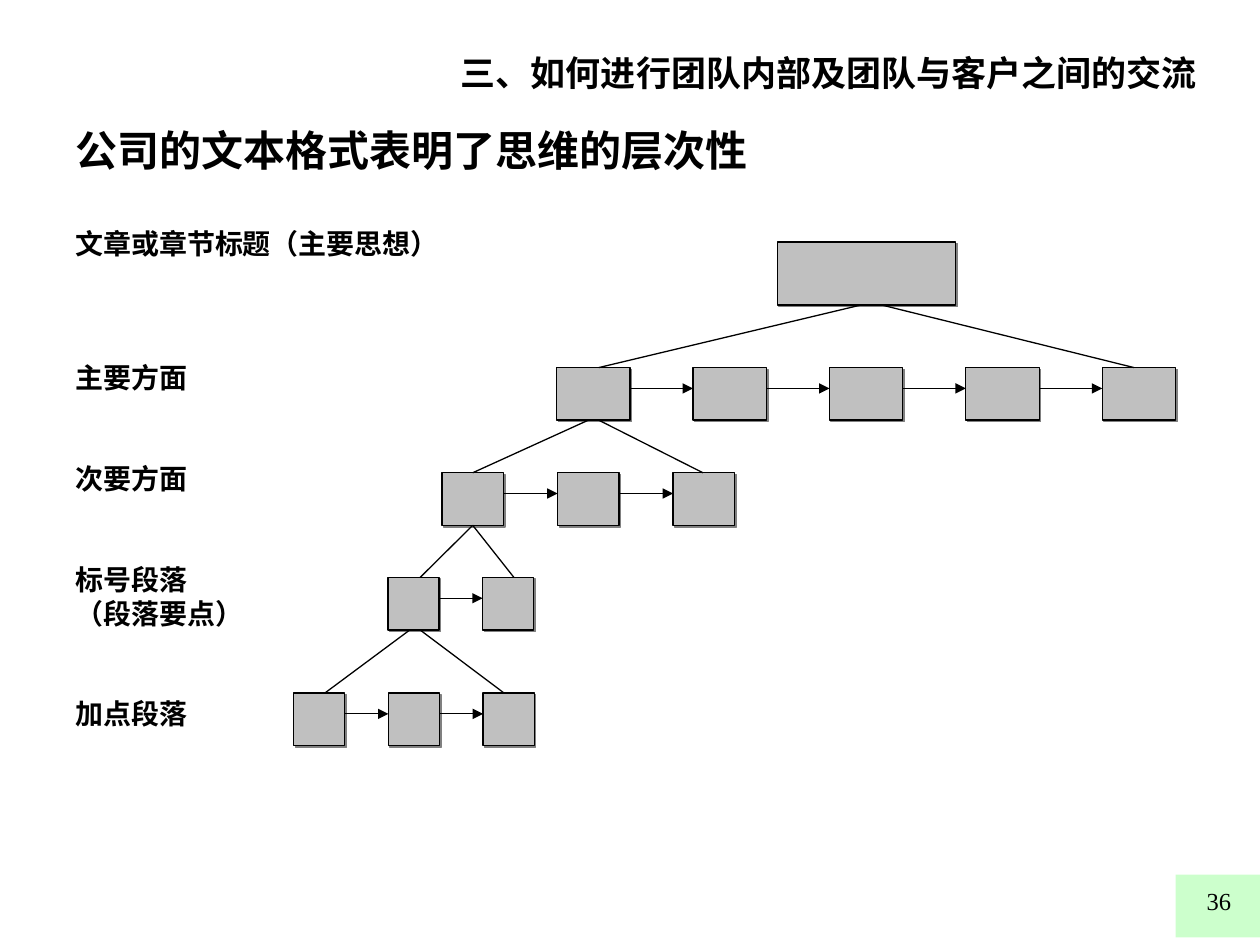
import pptx
import pptx.dml.color
import pptx.enum.shapes
import pptx.enum.text
import pptx.oxml
import pptx.oxml.ns
import pptx.util

Cm, Pt = pptx.util.Cm, pptx.util.Pt
qn = pptx.oxml.ns.qn
ALIGN = pptx.enum.text.PP_ALIGN
RECTANGLE = pptx.enum.shapes.MSO_SHAPE.RECTANGLE
STRAIGHT = pptx.enum.shapes.MSO_CONNECTOR.STRAIGHT

COLOURS = {"text": "000000", "line": "000000", "box": "C0C0C0",
           "shadow": "808080", "corner": "CCFFCC"}
SERIF, SANS = "Times New Roman", "Noto Sans CJK SC"
LINE_PITCH = 19.2

CHAPTER = "三、如何进行团队内部及团队与客户之间的交流"
TITLE = "公司的文本格式表明了思维的层次性"
PAGE_NUMBER = "36"
# label, lines of space above it
LABELS = [("文章或章节标题（主要思想）", 0), ("主要方面", 3), ("次要方面", 2),
          ("标号段落", 2), ("（段落要点）", 0), ("加点段落", 2)]

# All lengths in cm; each branch runs from an x under the parent level
# to an x on top of this level.
LEVELS = [
    dict(left=15.67, top=4.88, width=3.6, height=1.27, count=1, pitch=0, branches=[]),
    dict(left=11.22, top=7.41, width=1.48, height=1.06, count=5, pitch=2.75,
         branches=[(17.35, 12.07), (17.78, 22.86)]),
    dict(left=8.91, top=9.53, width=1.24, height=1.06, count=3, pitch=2.33,
         branches=[(11.86, 9.53), (12.07, 14.17)]),
    dict(left=7.82, top=11.64, width=1.03, height=1.06, count=2, pitch=1.91,
         branches=[(9.53, 8.47), (9.53, 10.36)]),
    dict(left=5.92, top=13.97, width=1.03, height=1.06, count=3, pitch=1.91,
         branches=[(8.26, 6.55), (8.47, 10.16)]),
]
ARROW_DROP = 0.42


def rgb(name):
    return pptx.dml.color.RGBColor.from_string(COLOURS[name])


def place(shape, left, top, width, height):
    shape.left, shape.top = Cm(left), Cm(top)
    shape.width, shape.height = Cm(width), Cm(height)


def write(shape, lines, size, font_name, bold=True, align=ALIGN.LEFT):
    frame = shape.text_frame
    frame.word_wrap = True
    frame.auto_size = pptx.enum.text.MSO_AUTO_SIZE.NONE
    frame.vertical_anchor = pptx.enum.text.MSO_ANCHOR.TOP
    frame.text = "\n".join(lines)
    for paragraph in frame.paragraphs:
        paragraph.alignment = align
        paragraph.space_before = Pt(0)
        font = paragraph.font
        font.size, font.name, font.bold = Pt(size), font_name, bold
        font.color.rgb = rgb("text")
    return frame.paragraphs


def add_rectangle(slide, left, top, width, height, fill):
    rectangle = slide.shapes.add_shape(
        RECTANGLE, Cm(left), Cm(top), Cm(width), Cm(height))
    rectangle.shadow.inherit = False
    rectangle.fill.solid()
    rectangle.fill.fore_color.rgb = rgb(fill)
    rectangle.line.fill.background()
    return rectangle


def add_box(slide, left, top, width, height):
    """Add a grey outlined box with a hard shadow to the lower right."""
    box = add_rectangle(slide, left, top, width, height, "box")
    box.line.color.rgb = rgb("line")
    box.line.width = Pt(0.75)
    effects = box.element.spPr.find(qn("a:effectLst"))
    shadow = pptx.oxml.parse_xml(
        f'<a:outerShdw {pptx.oxml.ns.nsdecls("a")} blurRad="0" dist="{Pt(1.4)}" '
        f'dir="2700000" algn="ctr" rotWithShape="0">'
        f'<a:srgbClr val="{COLOURS["shadow"]}"/></a:outerShdw>')
    effects.append(shadow)


def add_line(slide, x1, y1, x2, y2, arrow=False):
    line = slide.shapes.add_connector(STRAIGHT, Cm(x1), Cm(y1), Cm(x2), Cm(y2))
    line.line.color.rgb = rgb("line")
    line.line.width = Pt(0.75)
    properties = line.element.spPr
    if arrow:
        outline = properties.find(qn("a:ln"))
        outline.append(outline.makeelement(qn("a:tailEnd"), {"type": "triangle"}))
    properties.append(properties.makeelement(qn("a:effectLst"), {}))


def add_text(slide, left, top, width, height, text, **style):
    holder = slide.shapes.add_textbox(Cm(left), Cm(top), Cm(width), Cm(height))
    write(holder, [text], **style)


def fill_labels(body):
    place(body, 1.27, 4.44, 10, 10.4)
    paragraphs = write(body, [label for label, _ in LABELS], 16, SERIF)
    for paragraph, (_, gap) in zip(paragraphs, LABELS):
        paragraph.line_spacing = Pt(LINE_PITCH)
        paragraph.space_before = Pt(gap * LINE_PITCH)
        properties = paragraph._p.get_or_add_pPr()
        properties.set("marL", "0")
        properties.set("indent", "0")
        no_bullet = properties.makeelement(qn("a:buNone"), {})
        properties.find(qn("a:defRPr")).addprevious(no_bullet)


def draw_level(slide, level, parent):
    left, top, width = level["left"], level["top"], level["width"]
    for index in range(level["count"]):
        x = left + index * level["pitch"]
        add_box(slide, x, top, width, level["height"])
        if index:
            y = top + ARROW_DROP
            add_line(slide, x - level["pitch"] + width, y, x, y, arrow=True)
    for start, end in level["branches"]:
        add_line(slide, start, parent["top"] + parent["height"], end, top)


def main():
    deck = pptx.Presentation()
    deck.slide_width, deck.slide_height = Cm(25.4), Cm(19.05)
    slide = deck.slides.add_slide(deck.slide_layouts[1])

    add_rectangle(slide, 23.7, 17.63, 1.7, 1.27, "corner")
    add_text(slide, 9.04, 0.91, 15.8, 1.12, CHAPTER, size=20, font_name=SANS)
    add_text(slide, 19.79, 17.73, 5.28, 1.27, PAGE_NUMBER, size=14,
             font_name=SERIF, bold=False, align=ALIGN.RIGHT)

    title = slide.shapes.title
    place(title, 1.27, 2.39, 14.8, 1.3)
    write(title, [TITLE], 24, SERIF)
    fill_labels(slide.placeholders[1])

    for parent, level in zip([None] + LEVELS, LEVELS):
        draw_level(slide, level, parent)
    deck.save("out.pptx")


if __name__ == "__main__":
    main()
